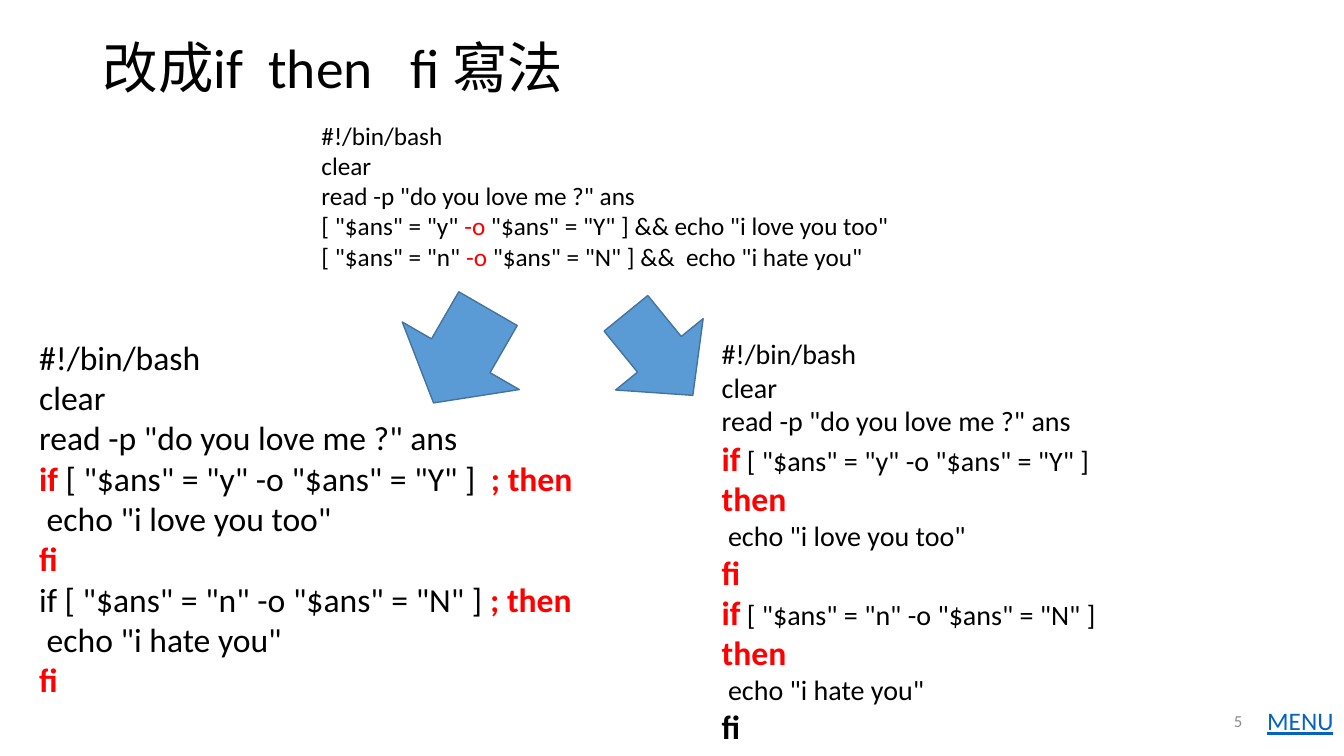
import pptx
import pptx.util
import pptx.dml.color
import pptx.enum.shapes
import pptx.enum.text

Inches = pptx.util.Inches
ALIGN = pptx.enum.text.PP_ALIGN
ANCHOR = pptx.enum.text.MSO_ANCHOR

COLORS = {"ink": "000000", "key": "FF0000", "menu": "0563C1", "number": "8C8C8C",
          "arrow": "5B9BD5", "arrow_edge": "43739E"}
FONT = "Calibri"

# Run styles: colour, bold, underline and, where it differs from the block, size
STYLES = {
    "plain": {"color": "ink"},
    "red": {"color": "key"},
    "key": {"color": "key", "bold": True},
    "big_key": {"color": "key", "bold": True, "size": 24},
    "big_end": {"color": "ink", "bold": True, "size": 24},
    "menu": {"color": "menu", "underline": True},
    "number": {"color": "number"},
}

TITLE = "改成if  then   fi 寫法"
OPENING = ["#!/bin/bash", "clear", 'read -p "do you love me ?" ans']
YES_TEST = '[ "$ans" = "y" -o "$ans" = "Y" ]'
NO_TEST = '[ "$ans" = "n" -o "$ans" = "N" ]'
YES_ECHO = ' echo "i love you too"'
NO_ECHO = ' echo "i hate you"'

# A line is a string in the plain style or a list of (text, style) runs
SHORT_FORM = OPENING + [
    [('[ "$ans" = "y" ', "plain"), ("-o", "red"),
     (' "$ans" = "Y" ] && echo "i love you too"', "plain")],
    [('[ "$ans" = "n" ', "plain"), ("-o", "red"),
     (' "$ans" = "N" ] &&  echo "i hate you"', "plain")],
]
ONE_LINE_THEN = OPENING + [
    [("if ", "key"), (YES_TEST + "  ", "plain"), ("; then", "key")],
    YES_ECHO,
    [("fi", "key")],
    [("if " + NO_TEST + " ", "plain"), ("; then", "key")],
    NO_ECHO,
    [("fi", "key")],
]
OWN_LINE_THEN = OPENING + [
    [("if", "big_key"), (" " + YES_TEST, "plain")],
    [("then", "big_key")],
    YES_ECHO,
    [("fi", "big_key")],
    [("if", "big_key"), (" " + NO_TEST, "plain")],
    [("then", "big_key")],
    NO_ECHO,
    [("fi", "big_end")],
]

# lines, size, (left, top, width, height), frame format, alignment
BLOCKS = [
    ([[("MENU", "menu")]], 18, (12.47, 6.95, 0.86, 0.4), {"word_wrap": False}, ALIGN.LEFT),
    (SHORT_FORM, 18, (3.09, 1.14, 6.67, 1.62), {}, ALIGN.LEFT),
    (ONE_LINE_THEN, 24, (0.29, 3.29, 6.67, 3.74), {}, ALIGN.LEFT),
    (OWN_LINE_THEN, 20, (7.06, 3.29, 6.67, 4.21), {}, ALIGN.LEFT),
    ([[("5", "number")]], 12, (9.42, 6.95, 3, 0.4),
     {"vertical_anchor": ANCHOR.MIDDLE}, ALIGN.RIGHT),
]
# (left, top, width, height), rotation
ARROWS = [((3.9, 2.99, 1.34, 1.08), 30), ((5.98, 2.99, 1.12, 1.05), 320.8)]


def rgb(name):
    return pptx.dml.color.RGBColor.from_string(COLORS[name])


def apply(target, formats):
    for attribute, value in formats.items():
        setattr(target, attribute, value)


def add_run(paragraph, text, style, block_size):
    look = STYLES[style]
    run = paragraph.add_run()
    run.text = text
    apply(run.font, {"name": FONT, "size": pptx.util.Pt(look.get("size", block_size)),
                     "bold": look.get("bold", False),
                     "underline": look.get("underline", False)})
    run.font.color.rgb = rgb(look["color"])


def add_block(slide, lines, size, place, frame_format, alignment):
    frame = slide.shapes.add_textbox(*map(Inches, place)).text_frame
    apply(frame, {"word_wrap": True, **frame_format})
    for index, line in enumerate(lines):
        paragraph = frame.add_paragraph() if index else frame.paragraphs[0]
        paragraph.alignment = alignment
        for text, style in [(line, "plain")] if isinstance(line, str) else line:
            add_run(paragraph, text, style, size)


def add_title(slide):
    title = slide.shapes.title
    apply(title, dict(zip(("left", "top", "width", "height"),
                          map(Inches, (0.92, 0.4, 11.5, 0.59)))))
    apply(title.text_frame, {"word_wrap": True, "vertical_anchor": ANCHOR.MIDDLE,
                             "auto_size": pptx.enum.text.MSO_AUTO_SIZE.NONE})
    paragraph = title.text_frame.paragraphs[0]
    apply(paragraph, {"alignment": ALIGN.LEFT, "line_spacing": 0.9})
    add_run(paragraph, TITLE, "plain", 39.6)


def add_arrow(slide, place, rotation):
    arrow = slide.shapes.add_shape(pptx.enum.shapes.MSO_SHAPE.DOWN_ARROW,
                                   *map(Inches, place))
    arrow.rotation = rotation
    arrow.shadow.inherit = False
    arrow.fill.solid()
    arrow.fill.fore_color.rgb = rgb("arrow")
    arrow.line.color.rgb = rgb("arrow_edge")
    arrow.line.width = pptx.util.Pt(1)


def main():
    deck = pptx.Presentation()
    apply(deck, {"slide_width": Inches(13.33), "slide_height": Inches(7.5)})
    slide = deck.slides.add_slide(deck.slide_layouts[5])
    add_title(slide)
    for block in BLOCKS:
        add_block(slide, *block)
    for place, rotation in ARROWS:
        add_arrow(slide, place, rotation)
    deck.save("out.pptx")


if __name__ == "__main__":
    main()
